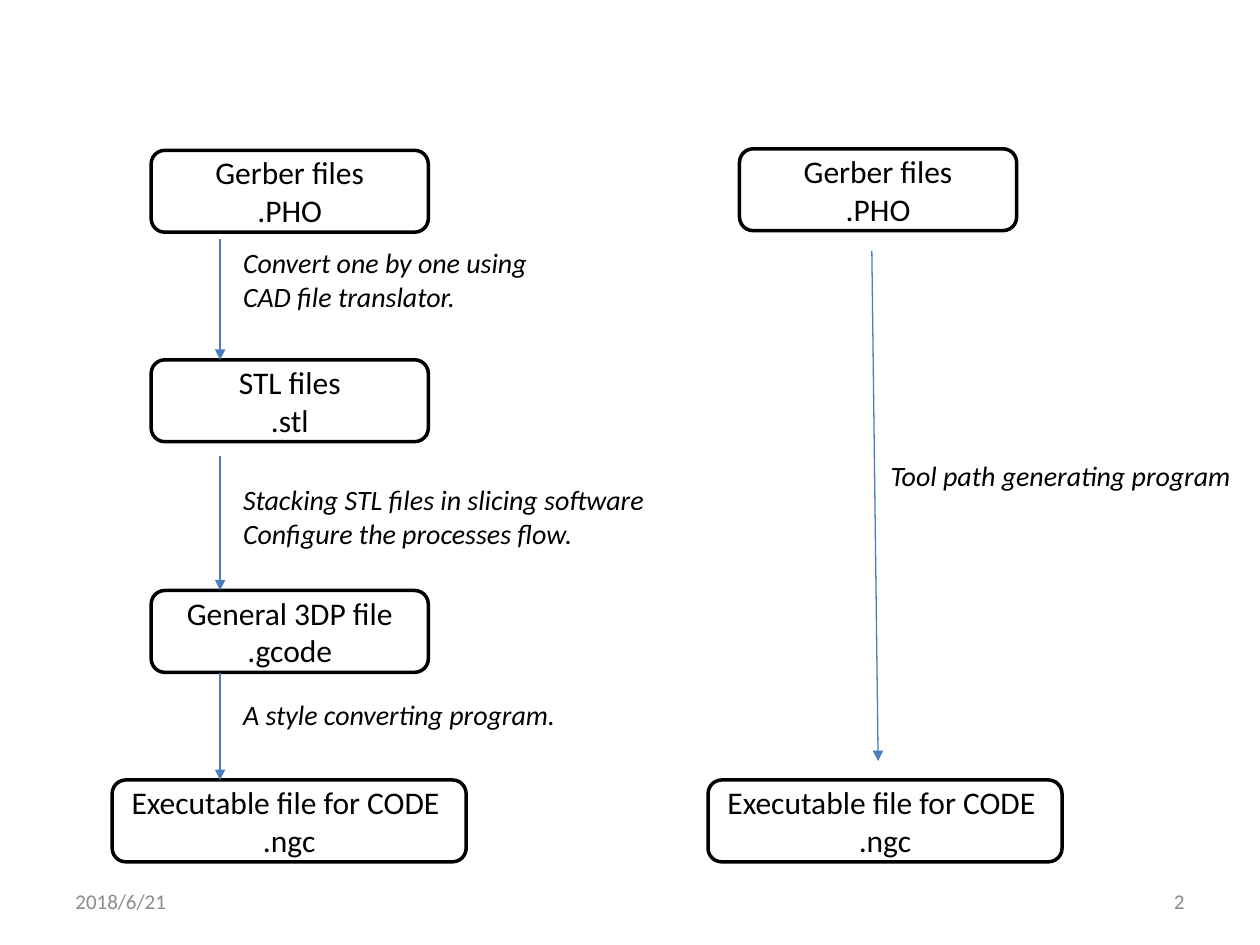
from lxml import etree
from pptx import Presentation
from pptx.dml.color import RGBColor
from pptx.enum.shapes import MSO_CONNECTOR, MSO_SHAPE
from pptx.enum.text import MSO_ANCHOR, MSO_AUTO_SIZE, PP_ALIGN
from pptx.oxml.ns import qn
from pptx.util import Pt

ROUND = MSO_SHAPE.ROUNDED_RECTANGLE
LINE = MSO_CONNECTOR.STRAIGHT
MIDDLE, TOP = MSO_ANCHOR.MIDDLE, MSO_ANCHOR.TOP
LEFT, CENTER, RIGHT = PP_ALIGN.LEFT, PP_ALIGN.CENTER, PP_ALIGN.RIGHT
FIT = MSO_AUTO_SIZE.SHAPE_TO_FIT_TEXT

COLORS = {"ink": "000000", "arrow": "4B7EBC", "footer": "8C8C8C"}


class Flow:
    font = "Calibri"
    box_h = 46.8

    def __init__(self, slide):
        self.shapes = slide.shapes

    def color(self, name):
        return RGBColor.from_string(COLORS[name])

    def label(self, frame, lines, size, align=LEFT, color="ink", italic=False):
        for i, line in enumerate(lines):
            para = frame.paragraphs[0] if i == 0 else frame.add_paragraph()
            para.text = line
            para.alignment = align
            font = para.font
            font.name, font.size, font.italic = self.font, Pt(size), italic
            font.color.rgb = self.color(color)

    def box(self, x, y, w, *lines):
        shape = self.shapes.add_shape(ROUND, Pt(x), Pt(y), Pt(w), Pt(self.box_h))
        shape.shadow.inherit = False
        shape.fill.background()
        shape.line.color.rgb = self.color("ink")
        shape.line.width = Pt(2)
        shape.text_frame.word_wrap = True
        shape.text_frame.vertical_anchor = MIDDLE
        self.label(shape.text_frame, lines, 18, CENTER)

    def note(self, x, y, w, *lines):
        height = 7.2 + 19.4 * len(lines)
        frame = self.shapes.add_textbox(Pt(x), Pt(y), Pt(w), Pt(height)).text_frame
        frame.word_wrap = False
        frame.auto_size = FIT
        frame.vertical_anchor = TOP
        self.label(frame, lines, 16, italic=True)

    def arrow(self, x1, y1, x2, y2):
        link = self.shapes.add_connector(LINE, Pt(x1), Pt(y1), Pt(x2), Pt(y2))
        link.line.color.rgb = self.color("arrow")
        link.line.width = Pt(0.75)
        props = link._element.spPr
        etree.SubElement(props.find(qn("a:ln")), qn("a:tailEnd"), type="triangle")
        etree.SubElement(props, qn("a:effectLst"))

    def footer(self, x, text, align):
        frame = self.shapes.add_textbox(Pt(x), Pt(500.4), Pt(168), Pt(28.8)).text_frame
        frame.word_wrap = True
        frame.vertical_anchor = MIDDLE
        self.label(frame, [text], 12, align, "footer")


def main():
    deck = Presentation()
    deck.slide_width, deck.slide_height = Pt(720), Pt(540)
    flow = Flow(deck.slides.add_slide(deck.slide_layouts[6]))

    # Footer
    flow.footer(36, "2018/6/21", LEFT)
    flow.footer(516, "2", RIGHT)

    source = ("Gerber files", ".PHO")
    target = ("Executable file for CODE ", ".ngc")
    last = 445.7

    # Left column: step by step
    files = [
        (85.9, source),
        (205.6, ("STL files", ".stl")),
        (337.4, ("General 3DP file", ".gcode")),
    ]
    for y, lines in files:
        flow.box(86.4, y, 158.4, *lines)
    flow.box(64.1, last, 202.3, *target)

    for start, end in ((136.8, 205.6), (260.6, 337.4), (384.5, last)):
        flow.arrow(125.8, start, 125.8, end)

    flow.note(131.8, 136.8, 185, "Convert one by one using", "CAD file translator.")
    flow.note(131.8, 272.2, 247, "Stacking STL files in slicing software",
              "Configure the processes flow.")
    flow.note(131.8, 395.3, 195, "A style converting program.")

    # Right column: direct route
    flow.box(422.6, 85, 158.4, *source)
    flow.box(404.6, last, 202.3, *target)
    flow.arrow(498.2, 143.3, 501.8, 434.9)
    flow.note(501.8, 258.5, 215.3, "Tool path generating program")

    deck.save("out.pptx")


if __name__ == "__main__":
    main()
